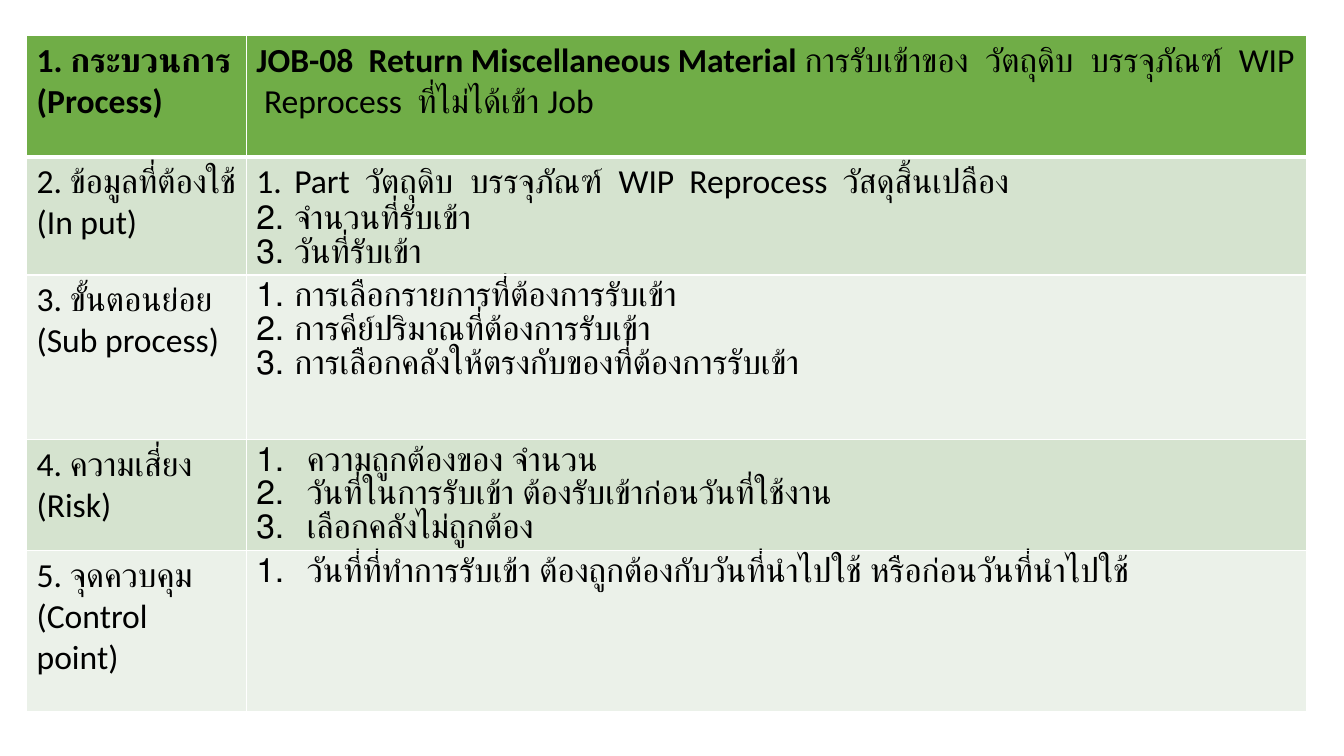
from lxml.etree import SubElement
from pptx import Presentation
from pptx.dml.color import RGBColor
from pptx.oxml.ns import qn
from pptx.util import Pt

BLACK = RGBColor(0x00, 0x00, 0x00)
WHITE = RGBColor(0xFF, 0xFF, 0xFF)
GREEN = RGBColor(0x70, 0xAD, 0x47)
PALE_GREEN = RGBColor(0xD5, 0xE3, 0xCF)
PALEST_GREEN = RGBColor(0xEB, 0xF1, 0xE9)

TOPIC_WIDTH = Pt(157)
ROW_HEIGHTS = [Pt(86.4), Pt(82.1), Pt(117.4), Pt(79.2), Pt(115.2)]

HEADING = [
    ("JOB-08  Return Miscellaneous Material ", True),
    ("การรับเข้าของ  วัตถุดิบ  บรรจุภัณฑ์  WIP  Reprocess  ที่ไม่ได้เข้า Job", False),
]
TOPICS = [
    (["2. ข้อมูลที่ต้องใช้", "(In put)"], Pt(27), [
        "Part  วัตถุดิบ  บรรจุภัณฑ์  WIP  Reprocess  วัสดุสิ้นเปลือง",
        "จำนวนที่รับเข้า",
        "วันที่รับเข้า",
    ]),
    (["3. ขั้นตอนย่อย", "(Sub process)"], Pt(27), [
        "การเลือกรายการที่ต้องการรับเข้า",
        "การคีย์ปริมาณที่ต้องการรับเข้า",
        "การเลือกคลังให้ตรงกับของที่ต้องการรับเข้า",
    ]),
    (["4. ความเสี่ยง", "(Risk)"], Pt(36), [
        "ความถูกต้องของ จำนวน",
        "วันที่ในการรับเข้า ต้องรับเข้าก่อนวันที่ใช้งาน",
        "เลือกคลังไม่ถูกต้อง",
    ]),
    (["5. จุดควบคุม", "(Control point)"], Pt(36), [
        "วันที่ที่ทำการรับเข้า ต้องถูกต้องกับวันที่นำไปใช้ หรือก่อนวันที่นำไปใช้",
    ]),
]


def add_text(paragraph, text, size=24, bold=False, color=BLACK, font="Calibri"):
    run = paragraph.add_run()
    run.text = text
    run.font.size = Pt(size)
    run.font.bold = bold
    run.font.color.rgb = color
    run.font.name = font


def number_paragraph(paragraph, indent):
    properties = paragraph._p.get_or_add_pPr()
    properties.set("marL", str(indent))
    properties.set("indent", str(-indent))
    SubElement(properties, qn("a:buFont"), typeface="+mj-lt")
    SubElement(properties, qn("a:buAutoNum"), type="arabicPeriod")


def fill_lines(cell, lines, indent=None):
    frame = cell.text_frame
    for index, line in enumerate(lines):
        paragraph = frame.add_paragraph() if index else frame.paragraphs[0]
        if indent:
            number_paragraph(paragraph, indent)
        add_text(paragraph, line)


def style_cell(cell, color, top=1, bottom=1):
    properties = cell._tc.get_or_add_tcPr()
    for side, width in (("L", 1), ("R", 1), ("T", top), ("B", bottom)):
        border = SubElement(properties, qn(f"a:ln{side}"), w=str(Pt(width)))
        border_fill = SubElement(border, qn("a:solidFill"))
        SubElement(border_fill, qn("a:srgbClr"), val=str(WHITE))
    cell.fill.solid()
    cell.fill.fore_color.rgb = color


def add_process_table(slide, left, top, width, height):
    table = slide.shapes.add_table(len(ROW_HEIGHTS), 2, left, top, width, height).table
    table.columns[0].width = TOPIC_WIDTH
    table.columns[1].width = width - TOPIC_WIDTH
    for row, row_height in zip(table.rows, ROW_HEIGHTS):
        row.height = row_height

    process, heading = table.rows[0].cells
    add_text(process.text_frame.paragraphs[0], "1. กระบวนการ (Process)", bold=True)
    for text, bold in HEADING:
        add_text(heading.text_frame.paragraphs[0], text, bold=bold)
    for cell in (process, heading):
        style_cell(cell, GREEN, bottom=3)

    for number, (topic, indent, details) in enumerate(TOPICS, 1):
        fill_lines(table.cell(number, 0), topic)
        fill_lines(table.cell(number, 1), details, indent)
        for cell in table.rows[number].cells:
            style_cell(cell, PALE_GREEN if number % 2 else PALEST_GREEN,
                       top=3 if number == 1 else 1)


def main():
    presentation = Presentation()
    presentation.slide_width = Pt(960)
    presentation.slide_height = Pt(540)
    slide = presentation.slides.add_slide(presentation.slide_layouts[6])
    add_process_table(slide, Pt(19), Pt(25.5), Pt(914), sum(ROW_HEIGHTS))
    presentation.save("out.pptx")


if __name__ == "__main__":
    main()
